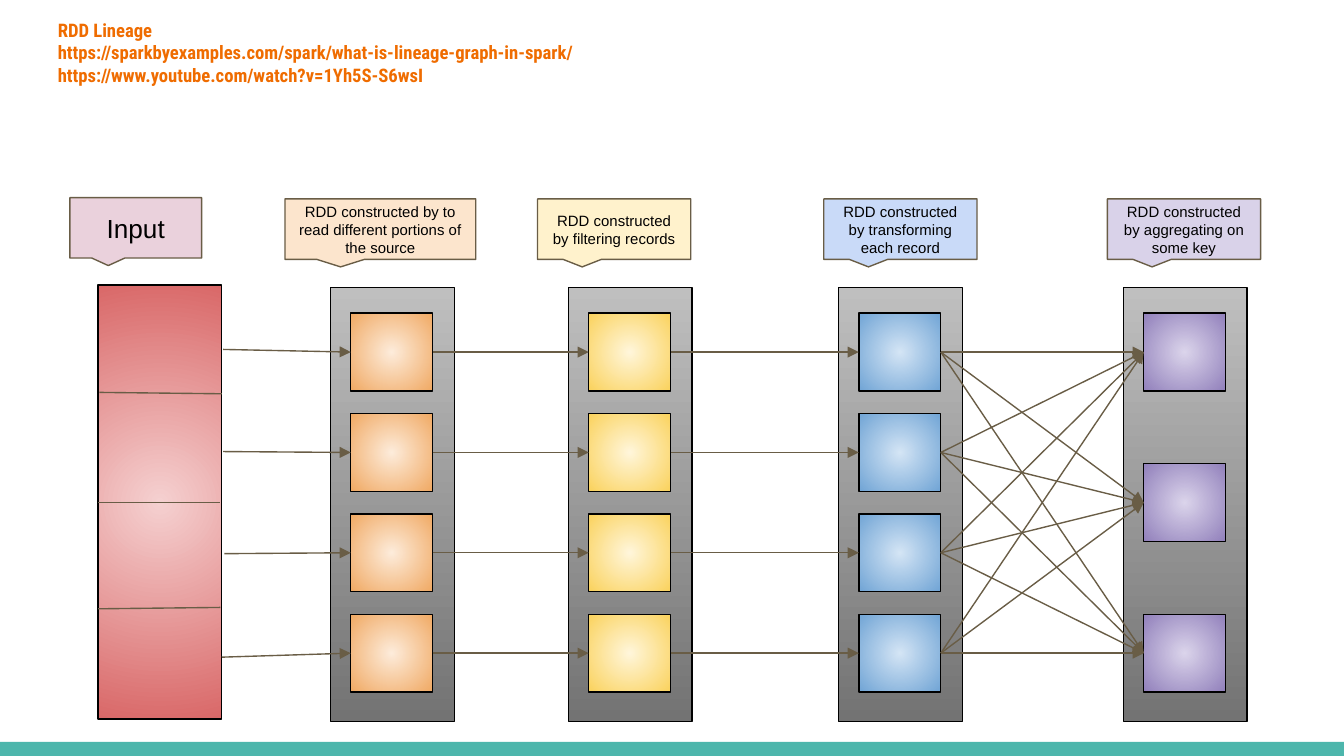
"""Build the RDD lineage slide."""
from lxml.etree import SubElement
from pptx import Presentation
from pptx.dml.color import RGBColor
from pptx.enum.dml import MSO_LINE
from pptx.enum.shapes import MSO_CONNECTOR, MSO_SHAPE
from pptx.enum.text import MSO_ANCHOR, MSO_AUTO_SIZE, PP_ALIGN
from pptx.oxml.ns import qn
from pptx.util import Inches, Pt


def paint(shape, line=None, fills=(), radial=False):
    if line:
        shape.line.color.rgb = RGBColor.from_string(line)
        shape.line.width = Pt(0.75)
        shape.line.dash_style = MSO_LINE.SOLID
    else:
        shape.line.fill.background()
    if len(fills) == 1:
        shape.fill.solid()
        shape.fill.fore_color.rgb = RGBColor.from_string(fills[0])
    elif fills:
        shape.fill.gradient()
        shape.fill.gradient_angle = 270
        for stop, colour in zip(shape.fill.gradient_stops, fills):
            stop.color.rgb = RGBColor.from_string(colour)
    if radial:
        gradient = shape._element.spPr.find(qn("a:gradFill"))
        gradient.remove(gradient.find(qn("a:lin")))
        circle = SubElement(gradient, qn("a:path"), {"path": "circle"})
        SubElement(circle, qn("a:fillToRect"), {side: "50000" for side in "ltrb"})


def write(frame, text, size=8, font="Arial", colour="000000", bold=False,
          align=PP_ALIGN.CENTER, anchor=MSO_ANCHOR.MIDDLE):
    frame.auto_size = MSO_AUTO_SIZE.NONE
    frame.word_wrap = True
    frame.vertical_anchor = anchor
    frame.margin_left = frame.margin_right = Inches(0.1)
    frame.margin_top = frame.margin_bottom = Inches(0.1)
    paragraph = frame.paragraphs[0]
    paragraph.text = text
    paragraph.alignment = align
    paragraph.line_spacing = 1.0
    for run in paragraph.runs:
        run.font.size = Pt(size)
        run.font.name = font
        run.font.bold = bold
        run.font.color.rgb = RGBColor.from_string(colour)


BLACK, BROWN, TEAL = "000000", "695D46", "4DB6AC"
GREYS = ("BFBFBF", "737373")
CELL_WIDTH, CELL_HEIGHT = 0.61, 0.58
FIRST_TOP, LAST_TOP = 2.33, 4.57

prs = Presentation()
prs.slide_width = Inches(10)
prs.slide_height = prs.slide_width * 9 // 16
slide = prs.slides.add_slide(prs.slide_layouts[5])

title = slide.shapes.title
title.left, title.top = Inches(0.33), Inches(0.04)
title.width, title.height = Inches(9.32), Inches(1.28)
write(title.text_frame,
      "RDD Lineage\v"
      "https://sparkbyexamples.com/spark/what-is-lineage-graph-in-spark/\v"
      "https://www.youtube.com/watch?v=1Yh5S-S6wsI",
      size=10, font="Roboto Condensed", colour="EF6C00", bold=True,
      align=PP_ALIGN.LEFT, anchor=MSO_ANCHOR.TOP)

stages = [
    (2.46, 4, ("FDECDB", "F0A963")),
    (4.23, 4, ("FFF6DB", "FAD25C")),
    (6.24, 4, ("D4E5F5", "70A4D5")),
    (8.36, 3, ("DBD4EB", "9180BB")),
]
boxes = [
    (0, 5.52, 10, 0.11, None, (TEAL,), False),
    (0.73, 2.12, 0.92, 3.23, BLACK, ("F5D0D0", "D96868"), True),
]
partitions = []
for left, count, colours in stages:
    boxes.append((left, 2.14, 0.92, 3.23, BLACK, GREYS, False))
    cell_left = left + 0.15
    gap = (LAST_TOP - FIRST_TOP) / (count - 1)
    tops = [FIRST_TOP + i * gap for i in range(count)]
    for top in tops:
        boxes.append((cell_left, top, CELL_WIDTH, CELL_HEIGHT, BLACK, colours, True))
    partitions.append([(cell_left, top + CELL_HEIGHT / 2) for top in tops])

for left, top, width, height, outline, colours, radial in boxes:
    box = slide.shapes.add_shape(MSO_SHAPE.RECTANGLE, Inches(left), Inches(top),
                                 Inches(width), Inches(height))
    box.shadow.inherit = False
    paint(box, outline, colours, radial)

read, filtered, transformed, aggregated = partitions
input_exits = [(1.66, 2.6), (1.66, 3.36), (1.67, 4.12), (1.65, 4.89)]
links = list(zip(input_exits, read))
for sources, targets in ((read, filtered), (filtered, transformed)):
    links += [((x + CELL_WIDTH, y), target) for (x, y), target in zip(sources, targets)]
links += [((x + CELL_WIDTH, y), target) for target in aggregated for x, y in transformed]
dividers = [
    ((0.74, 2.92), (1.65, 2.93)),
    ((0.73, 3.74), (1.64, 3.74)),
    ((0.73, 4.53), (1.64, 4.52)),
]
for start, end in links + dividers:
    connector = slide.shapes.add_connector(
        MSO_CONNECTOR.STRAIGHT, *[Inches(value) for value in start + end])
    paint(connector, BROWN)
    if (start, end) in links:
        SubElement(connector.line._get_or_add_ln(), qn("a:tailEnd"), {"type": "triangle"})
    SubElement(connector._element.spPr, qn("a:effectLst"))

callouts = [
    (0.52, 1.47, 0.98, "EAD1DC", "Input", 14),
    (2.12, 1.48, 1.42, "FCE5CD",
     "RDD constructed by to read different portions of the source", 8),
    (4, 1.48, 1.14, "FFF2CC", "RDD constructed by filtering records", 8),
    (6.13, 1.48, 1.14, "C9DAF8", "RDD constructed by transforming each record", 8),
    (8.24, 1.48, 1.14, "D9D2E9", "RDD constructed by aggregating on some key", 8),
]
for left, top, width, colour, text, size in callouts:
    callout = slide.shapes.add_shape(MSO_SHAPE.RECTANGULAR_CALLOUT, Inches(left),
                                     Inches(top), Inches(width), Inches(0.45))
    callout.shadow.inherit = False
    paint(callout, BROWN, (colour,))
    write(callout.text_frame, text, size=size)

prs.save("out.pptx")
